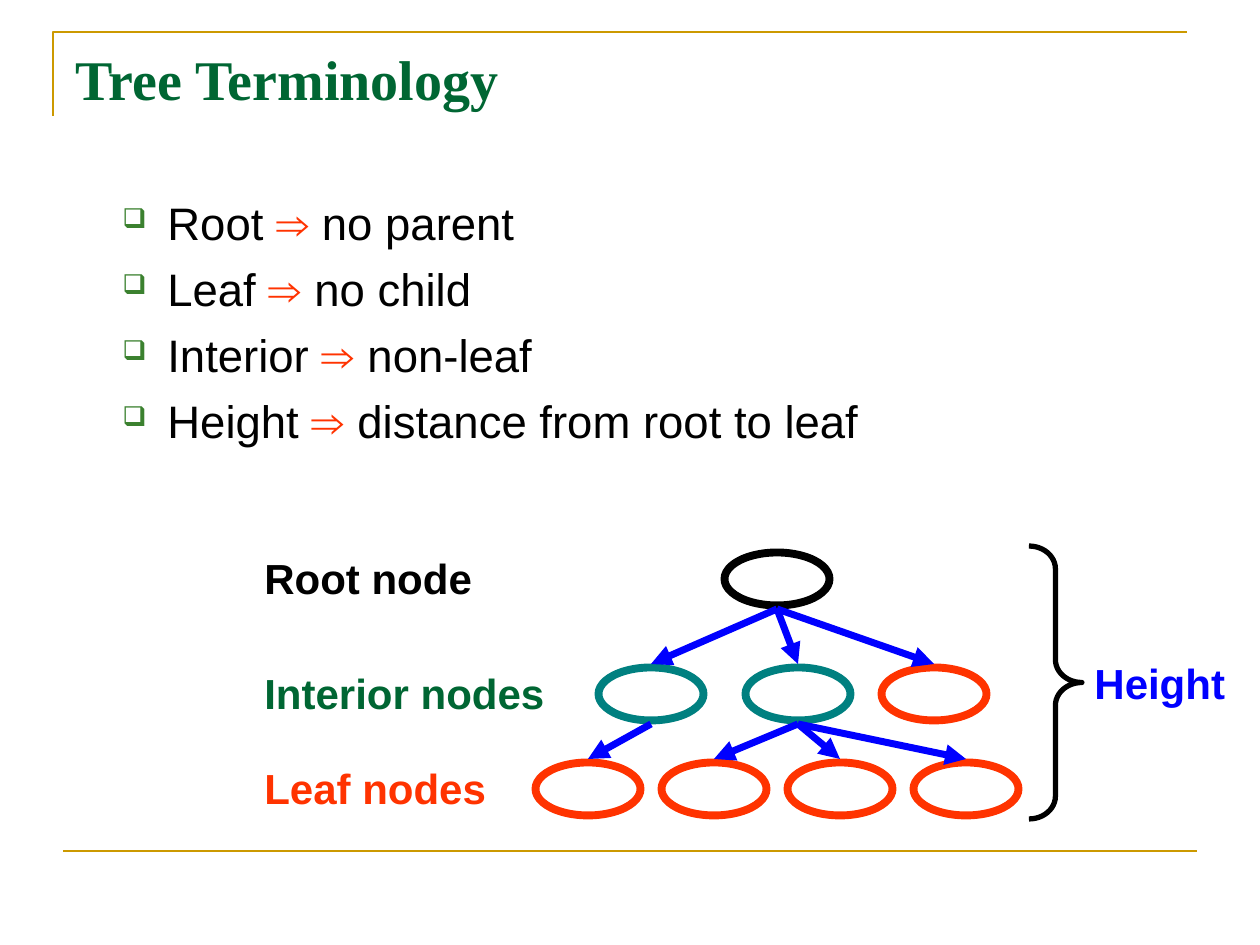
from lxml import etree
from pptx import Presentation
from pptx.dml.color import RGBColor
from pptx.enum.shapes import MSO_CONNECTOR, MSO_SHAPE
from pptx.enum.text import MSO_ANCHOR, PP_ALIGN
from pptx.oxml.ns import qn
from pptx.util import Pt

STRAIGHT = MSO_CONNECTOR.STRAIGHT
OVAL, BRACE = MSO_SHAPE.OVAL, MSO_SHAPE.RIGHT_BRACE
LEFT, TOP, MIDDLE = PP_ALIGN.LEFT, MSO_ANCHOR.TOP, MSO_ANCHOR.MIDDLE
PX = 914400 / 126
COLORS = {"gold": "CC9900", "green": "006633", "bullet": "3B812F", "black": "000000",
          "teal": "008080", "red": "FF3300", "blue": "0000FF"}

# Content
TITLE = "Tree Terminology"
TERMS = [("Root", "no parent"), ("Leaf", "no child"), ("Interior", "non-leaf"),
         ("Height", "distance from root to leaf")]
# Labels: text, left, top, width, color
LABELS = [("Root node", 252, 546, 240, "black"), ("Interior nodes", 252, 661, 312, "green"),
          ("Leaf nodes", 252, 756, 254, "red"), ("Height", 1082, 651, 168, "blue")]
# Tree nodes: center x, center y, color
NODES = {"root": (777, 579, "black"),
         "left": (651, 694, "teal"), "middle": (798, 694, "teal"), "right": (934, 694, "red")}
NODES.update({f"leaf{i}": (588 + 126 * i, 789, "red") for i in range(4)})
CHILDREN = {"root": ["left", "middle", "right"], "left": ["leaf0"],
            "middle": ["leaf1", "leaf2", "leaf3"]}
NODE_WIDTH, NODE_HEIGHT, EDGE_GAP = 105, 53, 30


def px(*values):
    return [round(value * PX) for value in values]


def color(name):
    return RGBColor.from_string(COLORS[name])


def set_font(font, name, size, color_name, bold=False):
    font.name, font.size, font.bold = name, Pt(size), bold
    font.color.rgb = color(color_name)


def outline(shape, color_name, width):
    shape.shadow.inherit = False
    shape.fill.background()
    shape.line.color.rgb = color(color_name)
    shape.line.width = Pt(width)


def add_line(start, end, color_name, width, arrow=False):
    line = slide.shapes.add_connector(STRAIGHT, *px(*start, *end))
    line.line.color.rgb = color(color_name)
    line.line.width = Pt(width)
    if arrow:
        etree.SubElement(line.line._get_or_add_ln(), qn("a:tailEnd"), type="triangle")
    etree.SubElement(line._element.spPr, qn("a:effectLst"))


def add_bullet(paragraph):
    properties = paragraph._p.get_or_add_pPr()
    properties.set("marL", str(px(92)[0]))
    properties.set("indent", str(px(-45)[0]))
    bullet_color = etree.SubElement(properties, qn("a:buClr"))
    etree.SubElement(bullet_color, qn("a:srgbClr"), val=COLORS["bullet"])
    etree.SubElement(properties, qn("a:buSzPct"), val="60000")
    etree.SubElement(properties, qn("a:buChar"), char="❑")


presentation = Presentation()
presentation.slide_width, presentation.slide_height = px(1260, 945)
slide = presentation.slides.add_slide(presentation.slide_layouts[5])

# Frame rules
corner = slide.shapes.build_freeform(53, 116, scale=PX)
corner.add_line_segments([(53, 32), (1187, 32)], close=False)
outline(corner.convert_to_shape(), "gold", 1.5)
add_line((63, 851), (1197, 851), "gold", 1.5)

# Title
title = slide.shapes.title
title.left, title.top, title.width, title.height = px(63, 34, 1134, 88)
title.text_frame.text = TITLE
title.text_frame.vertical_anchor = MIDDLE
title.text_frame.paragraphs[0].alignment = LEFT
set_font(title.text_frame.paragraphs[0].font, "Times New Roman", 32, "green", True)

# Definitions
frame = slide.shapes.add_textbox(*px(63, 189, 1134, 280)).text_frame
frame.word_wrap = True
frame.vertical_anchor = TOP
for index, (term, meaning) in enumerate(TERMS):
    paragraph = frame.add_paragraph() if index else frame.paragraphs[0]
    add_bullet(paragraph)
    paragraph.space_before = Pt(6.5 if index else 0)
    set_font(paragraph.font, "Arial", 26, "black")
    for text, color_name in ((term + " ", "black"), ("⇒ ", "red"), (meaning, "black")):
        run = paragraph.add_run()
        run.text = text
        run.font.color.rgb = color(color_name)

# Tree nodes
for x, y, color_name in NODES.values():
    node = slide.shapes.add_shape(
        OVAL, *px(x - NODE_WIDTH / 2, y - NODE_HEIGHT / 2, NODE_WIDTH, NODE_HEIGHT))
    outline(node, color_name, 4.5)

# Tree edges
for parent, children in CHILDREN.items():
    x, y, _ = NODES[parent]
    for child in children:
        child_x, child_y, _ = NODES[child]
        add_line((x, y + EDGE_GAP), (child_x, child_y - EDGE_GAP), "blue", 4, arrow=True)

# Labels, left aligned in boxes with room to spare
for text, left, top, width, color_name in LABELS:
    frame = slide.shapes.add_textbox(*px(left, top, width, 63)).text_frame
    frame.word_wrap = True
    frame.text = text
    set_font(frame.paragraphs[0].font, "Arial", 24, color_name, True)

# Height brace
brace = slide.shapes.add_shape(BRACE, *px(1029, 546, 53, 273))
brace.adjustments[0] = 0.43
outline(brace, "black", 3)

presentation.save("out.pptx")
